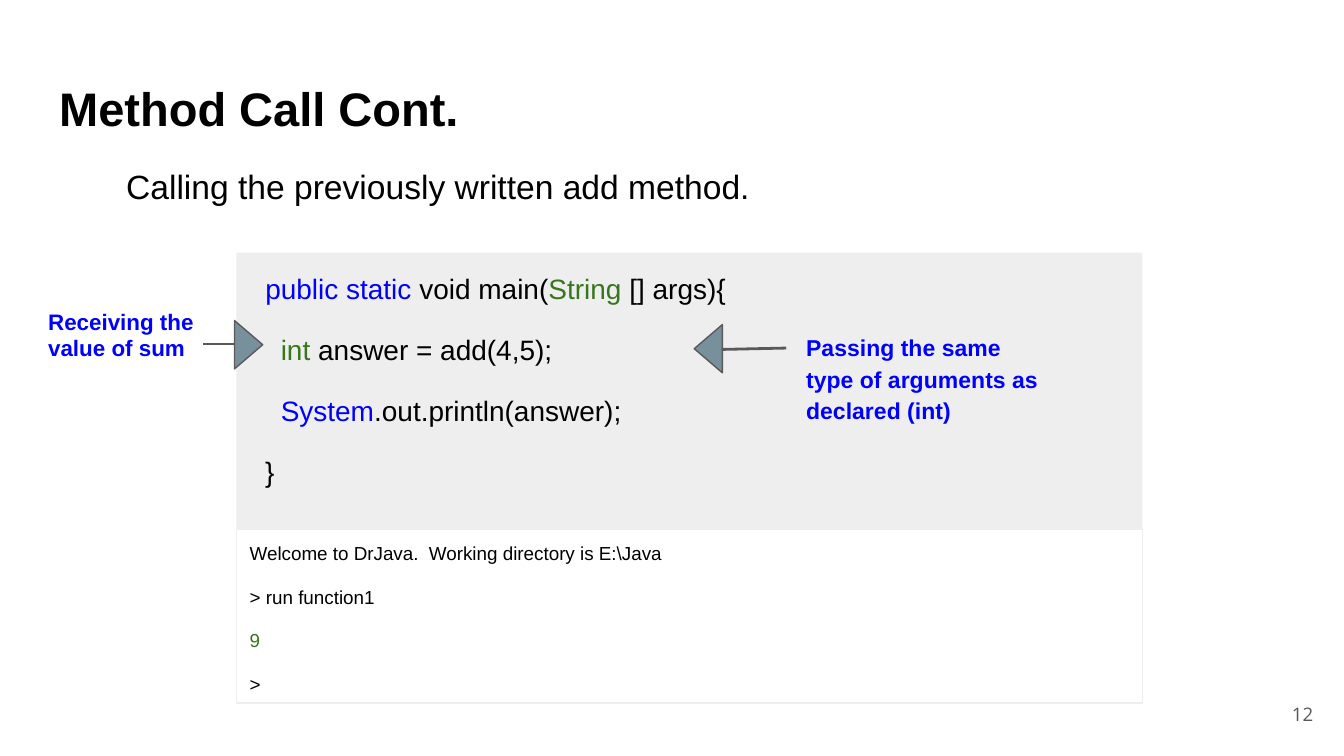
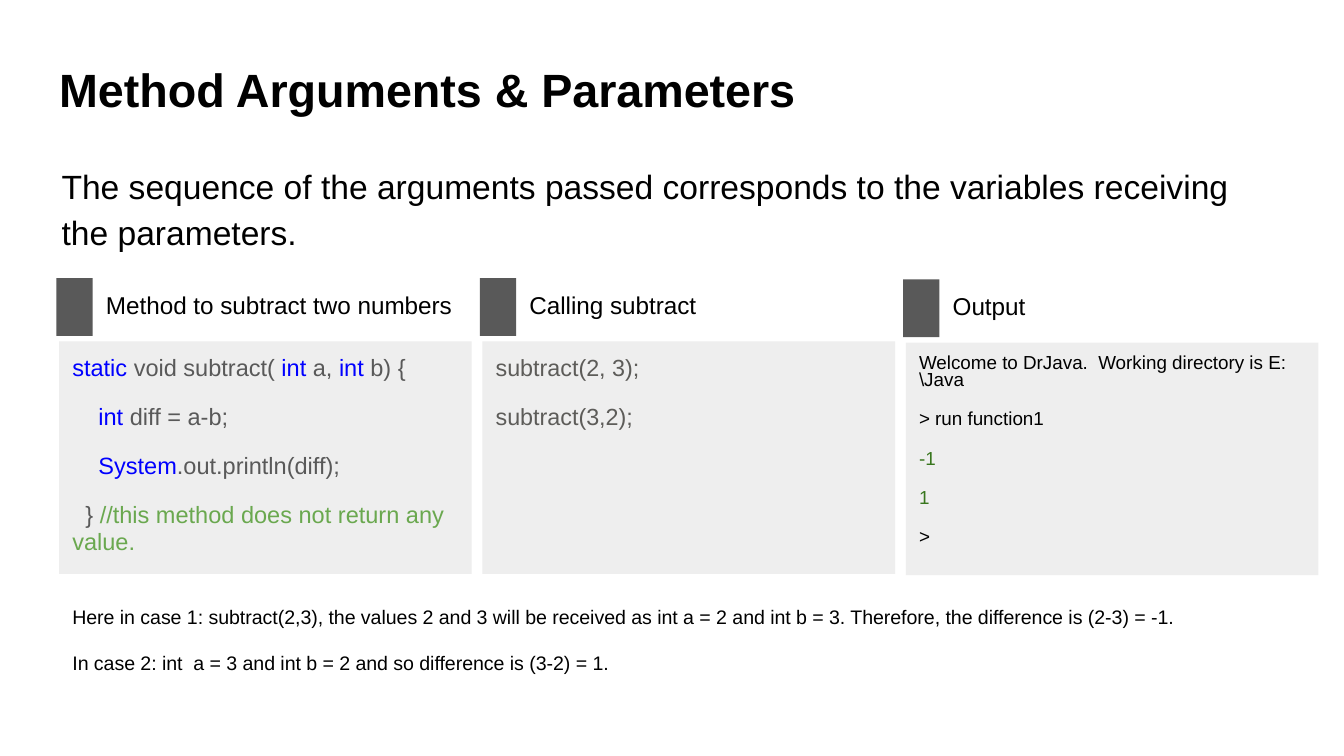
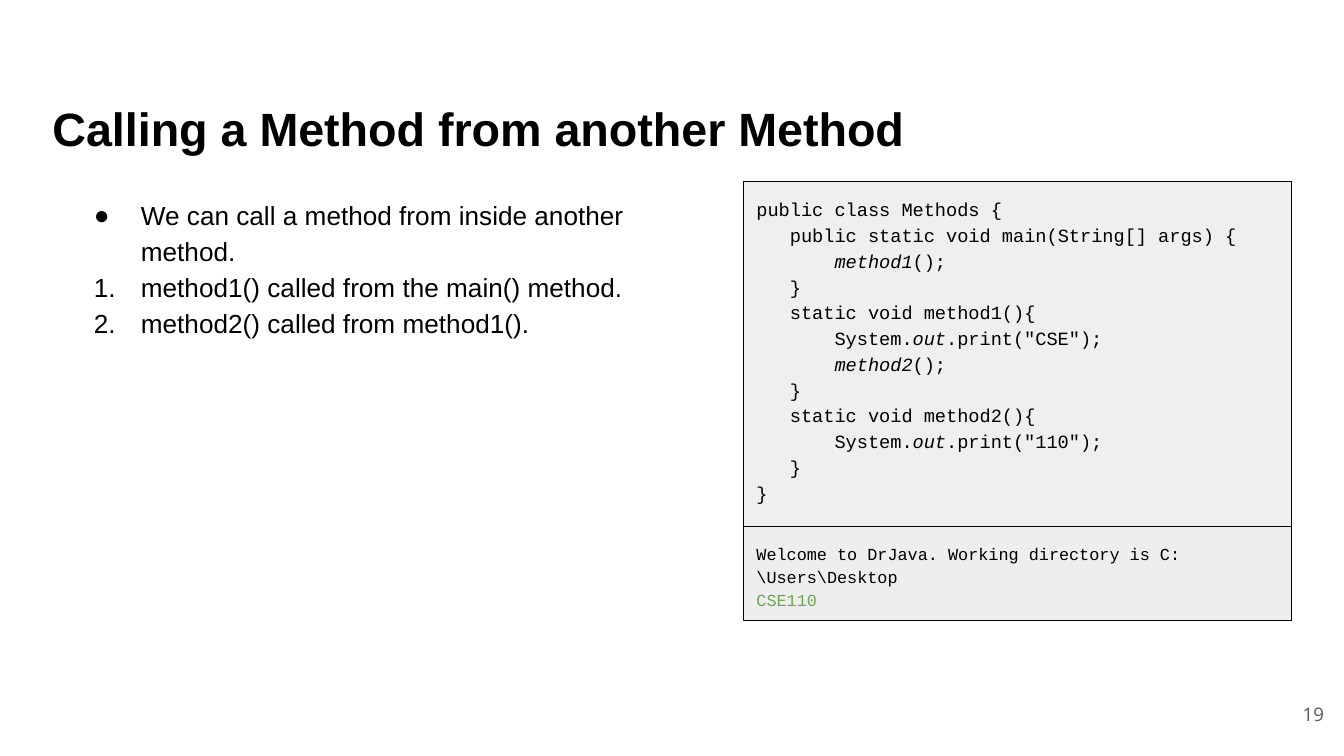
from dataclasses import dataclass
from typing import NamedTuple, Optional

from lxml import etree
from pptx import Presentation
from pptx.dml.color import RGBColor
from pptx.enum.shapes import MSO_CONNECTOR, MSO_SHAPE
from pptx.enum.text import MSO_ANCHOR, MSO_AUTO_SIZE, PP_ALIGN
from pptx.oxml.ns import qn
from pptx.util import Inches, Pt

RECT, MERGE = MSO_SHAPE.RECTANGLE, MSO_SHAPE.FLOWCHART_MERGE
STRAIGHT = MSO_CONNECTOR.STRAIGHT
TOP, MIDDLE = MSO_ANCHOR.TOP, MSO_ANCHOR.MIDDLE
LEFT, RIGHT = PP_ALIGN.LEFT, PP_ALIGN.RIGHT
NO_FIT = MSO_AUTO_SIZE.NONE

COLORS = {
    "black": "000000", "white": "FFFFFF", "blue": "0000FF",
    "green": "38761D", "lime": "6AA84F", "gray": "595959",
    "olive": "5D5C59", "panel": "EEEEEE", "code": "EFEFEF",
    "arrow": "78909C",
}
INSET = Inches(0.1)


class Run(NamedTuple):
    text: str
    color: Optional[str] = None
    italic: bool = False


class Box(NamedTuple):
    x: float
    y: float
    w: float
    h: float


@dataclass(frozen=True)
class Style:
    size: float
    color: str = "black"
    font: str = "Arial"
    bold: bool = False
    spacing: float = 1.0
    before: float = 0
    after: float = 0
    align: PP_ALIGN = LEFT
    indent: float = 0


@dataclass(frozen=True)
class Column:
    heading: str
    paras: list
    style: Style
    drop: float = 0


@dataclass(frozen=True)
class Pointer:
    head: Box
    rotation: int
    start: tuple
    end: tuple
    note: str
    note_box: Box
    style: Style


LEAD = Style(18, spacing=1.15, after=12)
NUMBER = Style(10, "gray", "Open Sans", align=RIGHT)
CONSOLE = Style(10.1, spacing=0.95, before=12, after=12)


# Shared drawing helpers
def rgb(name: str) -> RGBColor:
    return RGBColor.from_string(COLORS[name])


def lengths(box: Box) -> list:
    return [Inches(v) for v in box]


def write(tf, paras: list, style: Style, anchor=TOP) -> None:
    """Fill a text frame; a paragraph is a string or a list of runs."""
    tf.word_wrap = True
    tf.auto_size = NO_FIT
    tf.vertical_anchor = anchor
    tf.margin_left = tf.margin_right = tf.margin_top = tf.margin_bottom = INSET
    for i, para in enumerate(paras):
        p = tf.paragraphs[0] if i == 0 else tf.add_paragraph()
        p.alignment = style.align
        p.line_spacing = style.spacing
        p.space_before = Pt(style.before if i else 0)
        p.space_after = Pt(style.after if i == len(paras) - 1 else 0)
        if style.indent:
            p._p.get_or_add_pPr().set("marL", str(Inches(style.indent)))
        for run in [Run(para)] if isinstance(para, str) else para:
            r = p.add_run()
            r.text = run.text
            r.font.name = style.font
            r.font.size = Pt(style.size)
            r.font.bold = style.bold
            r.font.italic = run.italic
            r.font.color.rgb = rgb(run.color or style.color)


def add_text(slide, box: Box, paras: list, style: Style, anchor=TOP):
    sp = slide.shapes.add_textbox(*lengths(box))
    write(sp.text_frame, paras, style, anchor)
    return sp


def add_filled(slide, kind, box: Box, fill: str, line: Optional[str] = None):
    sp = slide.shapes.add_shape(kind, *lengths(box))
    sp.shadow.inherit = False
    sp.fill.solid()
    sp.fill.fore_color.rgb = rgb(fill)
    if line:
        sp.line.color.rgb = rgb(line)
        sp.line.width = Pt(0.75)
    else:
        sp.line.fill.background()
    return sp


def add_panel(slide, box: Box, fill: str, paras: list, style: Style,
              line: Optional[str] = None) -> None:
    write(add_filled(slide, RECT, box, fill, line).text_frame, paras, style)


def add_pointer(slide, pointer: Pointer) -> None:
    head = add_filled(slide, MERGE, pointer.head, "arrow", "gray")
    head.rotation = pointer.rotation
    stem = slide.shapes.add_connector(
        STRAIGHT, *[Inches(v) for v in pointer.start + pointer.end])
    stem.line.color.rgb = rgb("gray")
    stem.line.width = Pt(1.5)
    etree.SubElement(stem._element.spPr, qn("a:effectLst"))
    add_text(slide, pointer.note_box, [pointer.note], pointer.style)


def add_bullet(p, tag: str, **attrs: str) -> None:
    pPr = p._p.get_or_add_pPr()
    pPr.set("marL", str(Inches(0.5)))
    pPr.set("indent", str(Inches(-0.35)))
    color = etree.SubElement(pPr, qn("a:buClr"))
    etree.SubElement(color, qn("a:srgbClr"), val=COLORS["black"])
    etree.SubElement(pPr, qn("a:buFont"), typeface="Arial")
    etree.SubElement(pPr, qn(tag), **attrs)


def new_slide(prs, title: str, x: float, y: float, size: float = 25):
    slide = prs.slides.add_slide(prs.slide_layouts[5])
    sp = slide.shapes.title
    sp.left, sp.top, sp.width, sp.height = lengths(Box(x, y, 9.32, 0.63))
    write(sp.text_frame, [title], Style(size, bold=True))
    return slide


def add_number(slide, number: str, x: float) -> None:
    add_text(slide, Box(x, 5.1, 0.6, 0.43), [number], NUMBER, MIDDLE)


# Slide 1: calling the add method
def build_method_call(prs) -> None:
    slide = new_slide(prs, "Method Call Cont.", 0.34, 0.49, 25.2)
    main_code = [
        [Run("  "), Run("public static ", "blue"), Run("void main("),
         Run("String", "green"), Run(" [] args){")],
        [Run("    "), Run("int ", "green"), Run("answer = add(4,5);")],
        [Run("    "), Run("System", "blue"), Run(".out.println(answer);")],
        "  }",
    ]
    add_panel(slide, Box(1.76, 1.88, 6.74, 2.06), "panel", main_code,
              Style(15, spacing=1.15, before=12, after=12))
    add_text(slide, Box(0.34, 1.09, 9.28, 0.79),
             ["Calling the previously written add method."],
             Style(18, spacing=1.15, after=12, indent=0.5))
    console = ["Welcome to DrJava.  Working directory is E:\\Java",
               "> run function1", [Run("9", "green")], ">"]
    add_panel(slide, Box(1.76, 3.94, 6.74, 1.29), "white", console, CONSOLE,
              "panel")
    pointers = [
        Pointer(Box(5.09, 2.49, 0.36, 0.21), 90, (5.85, 2.59), (5.37, 2.6),
                "Passing the same type of arguments as declared (int)",
                Box(5.9, 2.35, 1.94, 0.6),
                Style(12.3, "blue", bold=True, spacing=1.15, after=12)),
        Pointer(Box(1.67, 2.46, 0.36, 0.21), 270, (1.75, 2.56), (1.51, 2.56),
                "Receiving the value of sum", Box(0.26, 2.21, 1.41, 0.6),
                Style(12, "blue", bold=True, spacing=0.95, after=12)),
    ]
    for pointer in pointers:
        add_pointer(slide, pointer)
    add_number(slide, "12", 9.27)


# Slide 2: three columns on argument order
def build_arguments(prs) -> None:
    slide = new_slide(prs, "Method Arguments & Parameters", 0.34, 0.35)
    add_text(slide, Box(0.36, 1.09, 9.28, 0.78),
             ["The sequence of the arguments passed corresponds to the "
              "variables receiving the parameters."], LEAD)
    subtract_code = [
        [Run("static ", "blue"), Run("void subtract( "), Run("int ", "blue"),
         Run("a, "), Run("int ", "blue"), Run("b) {")],
        [Run("    "), Run("int ", "blue"), Run("diff = a-b;")],
        [Run("    "), Run("System", "blue"), Run(".out.println(diff);")],
        [Run("  } "), Run("//this method does not return any value.", "lime")],
    ]
    output = ["Welcome to DrJava.  Working directory is E:\\Java",
              "> run function1", [Run("-1", "green")], [Run("1", "green")],
              ">"]
    columns = [
        Column("Method to subtract two numbers", subtract_code,
               Style(12.6, "gray", spacing=0.95, before=12, after=12)),
        Column("Calling subtract", ["subtract(2, 3);", "subtract(3,2);"],
               Style(12.5, "olive", spacing=0.95, before=12)),
        Column("Output", output,
               Style(10.1, spacing=0.75, before=12, after=12), 0.01),
    ]
    for i, col in enumerate(columns):
        x = 0.42 + 3.15 * i
        y = 2.06 + col.drop
        add_text(slide, Box(x + 0.27, y, 2.82, 0.49), [col.heading], Style(13))
        add_panel(slide, Box(x + 0.02, y + 0.48, 3.07, 1.73), "panel",
                  col.paras, col.style)
        add_filled(slide, RECT, Box(x, y + 0.01, 0.27, 0.43), "gray")
    add_text(slide, Box(0.44, 4.4, 9.28, 0.78),
             ["Here in case 1: subtract(2,3), the values 2 and 3 will be "
              "received as int a = 2 and int b = 3. Therefore, the difference "
              "is (2-3) = -1.",
              "In case 2: int  a = 3 and int b = 2 and so difference is "
              "(3-2) = 1."],
             Style(10.5, before=12, after=12))


# Slide 3: one method calling another
def build_nested_calls(prs) -> None:
    slide = new_slide(prs, "Calling a Method from another Method", 0.29, 0.64)
    points = add_text(slide, Box(0.45, 1.35, 4.64, 4.11),
                      ["We can call a method from inside another method.",
                       "method1() called from the main() method.",
                       "method2() called from method1()."],
                      Style(14, spacing=1.15))
    first, *steps = points.text_frame.paragraphs
    add_bullet(first, "a:buChar", char="●")
    for p in steps:
        add_bullet(p, "a:buAutoNum", type="arabicPeriod")
    add_number(slide, "19", 9.35)

    pad = "       "
    class_code = [
        "public class Methods {",
        "   public static void main(String[] args) {",
        [Run(pad), Run("method1", italic=True), Run("();")],
        "   }",
        "   static void method1(){",
        [Run(pad + "System."), Run("out", italic=True), Run('.print("CSE");')],
        [Run(pad), Run("method2", italic=True), Run("();")],
        "   }",
        "   static void method2(){",
        [Run(pad + "System."), Run("out", italic=True), Run('.print("110");')],
        "   }",
        "}",
    ]
    add_panel(slide, Box(5.53, 1.35, 4.08, 2.57), "code", class_code,
              Style(10, font="Courier New", spacing=1.15), "black")
    add_panel(slide, Box(5.53, 3.92, 4.08, 0.7), "panel",
              ["Welcome to DrJava. Working directory is C:\\Users\\Desktop",
               [Run("CSE110", "lime")]],
              Style(9, font="Courier New", spacing=1.15), "black")


def main() -> None:
    prs = Presentation()
    # Widescreen, 16:9
    prs.slide_width = Inches(10)
    prs.slide_height = Inches(10 * 9 / 16)
    build_method_call(prs)
    build_arguments(prs)
    build_nested_calls(prs)
    prs.save("out.pptx")


if __name__ == "__main__":
    main()
